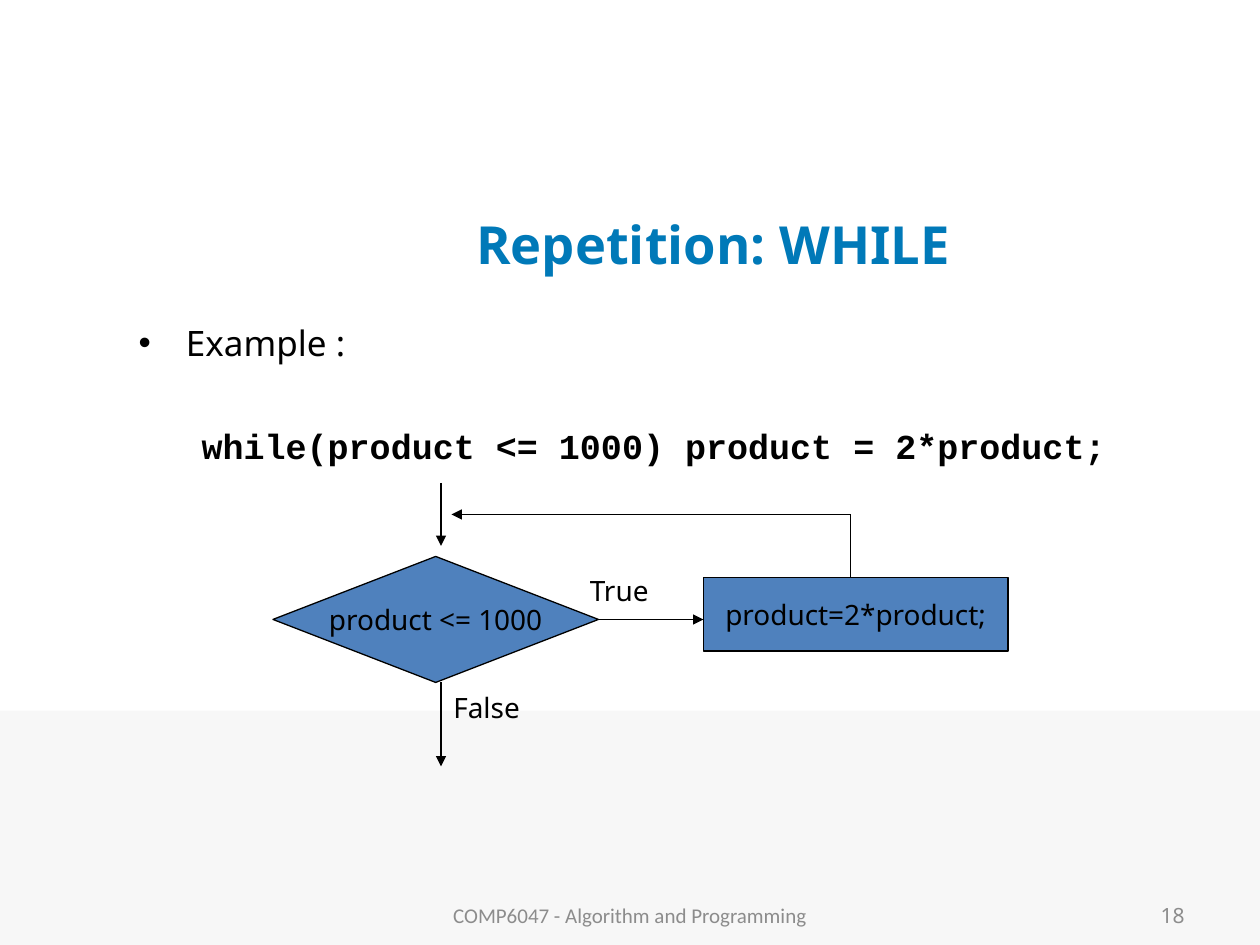
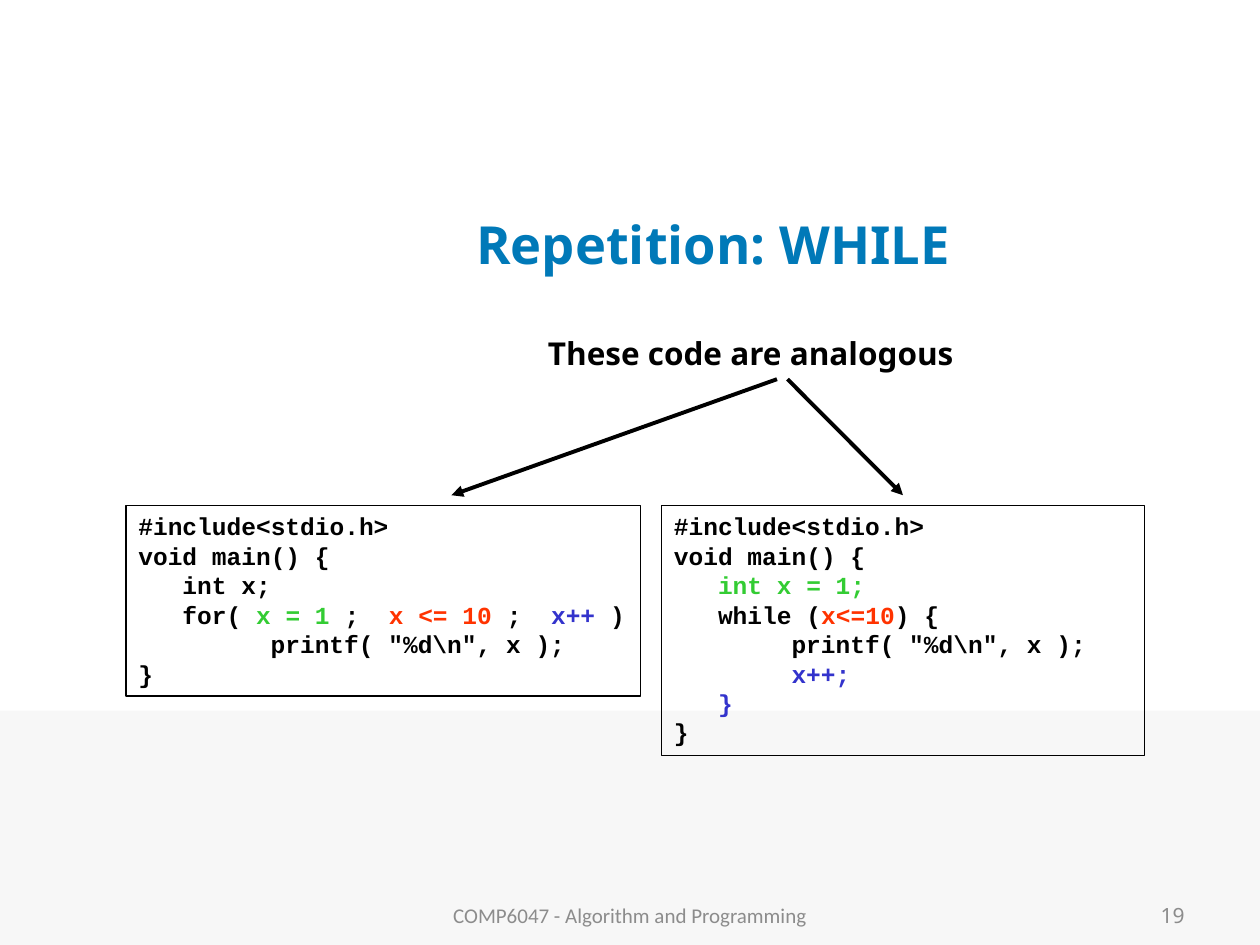
from dataclasses import dataclass

from lxml import etree
from pptx import Presentation
from pptx.dml.color import RGBColor
from pptx.enum.shapes import MSO_CONNECTOR, MSO_SHAPE
from pptx.enum.text import MSO_ANCHOR, MSO_AUTO_SIZE, PP_ALIGN
from pptx.oxml.ns import qn
from pptx.util import Pt

STRAIGHT = MSO_CONNECTOR.STRAIGHT
RECT = MSO_SHAPE.RECTANGLE
DECISION = MSO_SHAPE.FLOWCHART_DECISION
PROCESS = MSO_SHAPE.FLOWCHART_PROCESS
TOP, MIDDLE = MSO_ANCHOR.TOP, MSO_ANCHOR.MIDDLE
NO_FIT = MSO_AUTO_SIZE.NONE
LEFT, CENTER, RIGHT = PP_ALIGN.LEFT, PP_ALIGN.CENTER, PP_ALIGN.RIGHT
RIGHT_SIDE = 3
TEXT_AND_LIST, TITLE_ONLY = 1, 5


@dataclass(frozen=True)
class Theme:
    """Colours, fonts and sizes shared by the slides."""
    ink: str = "000000"
    title: str = "0079B8"
    muted: str = "8C8C8C"
    band: str = "F7F7F7"
    node: str = "4F81BD"
    init: str = "33CC33"
    test: str = "FF3300"
    step: str = "3333CC"
    sans: str = "Noto Sans"
    mono: str = "Courier New"
    footer_font: str = "Calibri"
    title_size: float = 30
    body_size: float = 20
    heading_size: float = 18
    label_size: float = 16
    code_size: float = 14
    footer_size: float = 12
    thin: float = 0.75
    thick: float = 2.25


T = Theme()
CODE_CHAR = 0.6 * T.code_size
TITLE = "Repetition: WHILE"
FOOTER = "COMP6047 - Algorithm and Programming"

FOR_CODE = [
    (0, [("#include<stdio.h>", T.ink)]),
    (0, [("void main() {", T.ink)]),
    (3, [("int x;", T.ink)]),
    (3, [("for(", T.ink), (" x = 1", T.init), (" ;  ", T.ink),
         ("x <= 10", T.test), (" ;  ", T.ink), ("x++", T.step), (" )", T.ink)]),
    (9, [('printf( "%d\\n", x );', T.ink)]),
    (0, [("}", T.ink)]),
]
WHILE_CODE = [
    (0, [("#include<stdio.h>", T.ink)]),
    (0, [("void main() {", T.ink)]),
    (3, [("int x = 1;", T.init)]),
    (3, [("while (", T.ink), ("x<=10", T.test), (") {", T.ink)]),
    (8, [('printf( "%d\\n", x );', T.ink)]),
    (8, [("x++;", T.step)]),
    (3, [("}", T.step)]),
    (0, [("}", T.ink)]),
]


def rgb(value):
    """Turn a hex string into a colour."""
    return RGBColor.from_string(value)


def set_font(p, size, color=T.ink, name=T.sans, bold=False):
    """Set the font of a whole paragraph."""
    p.font.size, p.font.name, p.font.bold = Pt(size), name, bold
    p.font.color.rgb = rgb(color)


def set_indent(p, margin, first=0):
    """Set the left margin and first-line indent of a paragraph."""
    pPr = p._p.get_or_add_pPr()
    pPr.set("marL", str(int(Pt(margin))))
    pPr.set("indent", str(int(Pt(first))))
    return pPr


def place(sp, box):
    """Move a shape to left, top, width, height."""
    sp.left, sp.top, sp.width, sp.height = (Pt(v) for v in box)


def add_box(slide, kind, box, fill=None, line=T.ink):
    """Add a preset shape with a plain fill and outline."""
    sp = slide.shapes.add_shape(kind, *(Pt(v) for v in box))
    sp.shadow.inherit = False
    if fill:
        sp.fill.solid()
        sp.fill.fore_color.rgb = rgb(fill)
    else:
        sp.fill.background()
    if line:
        sp.line.color.rgb = rgb(line)
        sp.line.width = Pt(T.thin)
    else:
        sp.line.fill.background()
    return sp


def add_node(slide, kind, box, text):
    """Add a flowchart node with centred text."""
    sp = add_box(slide, kind, box, T.node)
    tf = sp.text_frame
    tf.word_wrap, tf.vertical_anchor = False, MIDDLE
    p = tf.paragraphs[0]
    p.text, p.alignment = text, CENTER
    set_font(p, T.label_size)
    return sp


def add_label(slide, box, text, size, align=LEFT, anchor=TOP, **font):
    """Add a one-paragraph text box."""
    tf = slide.shapes.add_textbox(*(Pt(v) for v in box)).text_frame
    tf.word_wrap, tf.vertical_anchor = True, anchor
    p = tf.paragraphs[0]
    p.text, p.alignment = text, align
    set_font(p, size, **font)


def add_line(slide, start, end, width=T.thin, arrow=True):
    """Add a straight line, with an arrowhead at its end if wanted."""
    points = (Pt(v) for v in (*start, *end))
    cxn = slide.shapes.add_connector(STRAIGHT, *points)
    cxn.line.color.rgb = rgb(T.ink)
    cxn.line.width = Pt(width)
    if arrow:
        ln = cxn.line._get_or_add_ln()
        etree.SubElement(ln, qn("a:tailEnd")).set("type", "triangle")
    etree.SubElement(cxn._element.spPr, qn("a:effectLst"))
    return cxn


def add_code(slide, box, lines):
    """Add an outlined listing of indented, coloured code lines."""
    tf = add_box(slide, RECT, box).text_frame
    tf.word_wrap, tf.vertical_anchor = True, TOP
    for i, (indent, runs) in enumerate(lines):
        p = tf.add_paragraph() if i else tf.paragraphs[0]
        p.alignment = LEFT
        set_indent(p, indent * CODE_CHAR)
        set_font(p, T.code_size, name=T.mono, bold=True)
        for text, color in runs:
            r = p.add_run()
            r.text = text
            r.font.color.rgb = rgb(color)


def add_master_band(slide):
    """Put the grey lower band behind everything on the master."""
    band = add_box(slide, RECT, (0, 406, 720, 134), T.band, None)
    band.element.nvSpPr.cNvPr.set("id", "20")
    slide.slide_layout.slide_master.shapes.element.insert(2, band.element)


def add_base(prs, layout, number):
    """Add a slide with its title, footer and number."""
    slide = prs.slides.add_slide(prs.slide_layouts[layout])
    title = slide.shapes.title
    place(title, (138, 108, 539, 62.6))
    title.text_frame.auto_size = NO_FIT
    title.text_frame.vertical_anchor = MIDDLE
    p = title.text_frame.paragraphs[0]
    p.text, p.alignment = TITLE, CENTER
    set_font(p, T.title_size, T.title, bold=True)
    add_label(slide, (246, 508.3, 228, 28.8), FOOTER, T.footer_size, CENTER,
              MIDDLE, color=T.muted, name=T.footer_font)
    add_label(slide, (516, 508.3, 168, 28.8), str(number), T.footer_size, RIGHT,
              MIDDLE, color=T.muted)
    return slide


def fill_example(slide):
    """Write the example bullet and its code line in the body."""
    body = slide.placeholders[1]
    place(body, (72, 180, 618, 293))
    tf = body.text_frame
    tf.auto_size = NO_FIT
    p = tf.paragraphs[0]
    p.text, p.space_before = "Example :", Pt(4)
    set_indent(p, 27, -27)
    set_font(p, T.body_size)
    p = tf.add_paragraph()
    p.text, p.level, p.space_before = "while(product <= 1000) product = 2*product;", 1, Pt(35)
    set_font(p, T.body_size, name=T.mono, bold=True)
    pPr = set_indent(p, 36)
    pPr.insert_element_before(etree.Element(qn("a:buNone")), "a:tabLst", "a:defRPr", "a:extLst")


def add_flowchart(slide):
    """Draw the flow of the while loop."""
    flow_x, test_y, loop_x, loop_y = 252, 354, 486, 294
    decision = add_node(slide, DECISION, (156, 318, 186, 72), "product <= 1000")
    add_node(slide, PROCESS, (402, 330, 174, 42), "product=2*product;")
    add_line(slide, (flow_x, 276), (flow_x, 312))
    add_line(slide, (342, test_y), (402, test_y)).begin_connect(decision, RIGHT_SIDE)
    add_line(slide, (loop_x, 330), (loop_x, loop_y), arrow=False)
    add_line(slide, (loop_x, loop_y), (258, loop_y))
    add_line(slide, (flow_x, 390), (flow_x, 438))
    add_label(slide, (flow_x, 391, 66, 26.6), "False", T.label_size)
    add_label(slide, (330, 324, 60, 26.6), "True", T.label_size)


def add_comparison(slide):
    """Show the for and while listings under a common heading."""
    add_code(slide, (72, 288.7, 294, 109), FOR_CODE)
    add_code(slide, (378, 288.7, 276, 143), WHILE_CODE)
    add_label(slide, (306, 187.2, 300, 28.8), "These code are analogous",
              T.heading_size, bold=True)
    for start_x, end_x in ((444, 258), (450, 516)):
        add_line(slide, (start_x, 216.7), (end_x, 283), T.thick)


def main():
    """Build and save the two slides."""
    prs = Presentation()
    prs.slide_width, prs.slide_height = Pt(720), Pt(540)
    slide = add_base(prs, TEXT_AND_LIST, 18)
    add_master_band(slide)
    fill_example(slide)
    add_flowchart(slide)
    add_comparison(add_base(prs, TITLE_ONLY, 19))
    prs.save("out.pptx")


if __name__ == "__main__":
    main()
